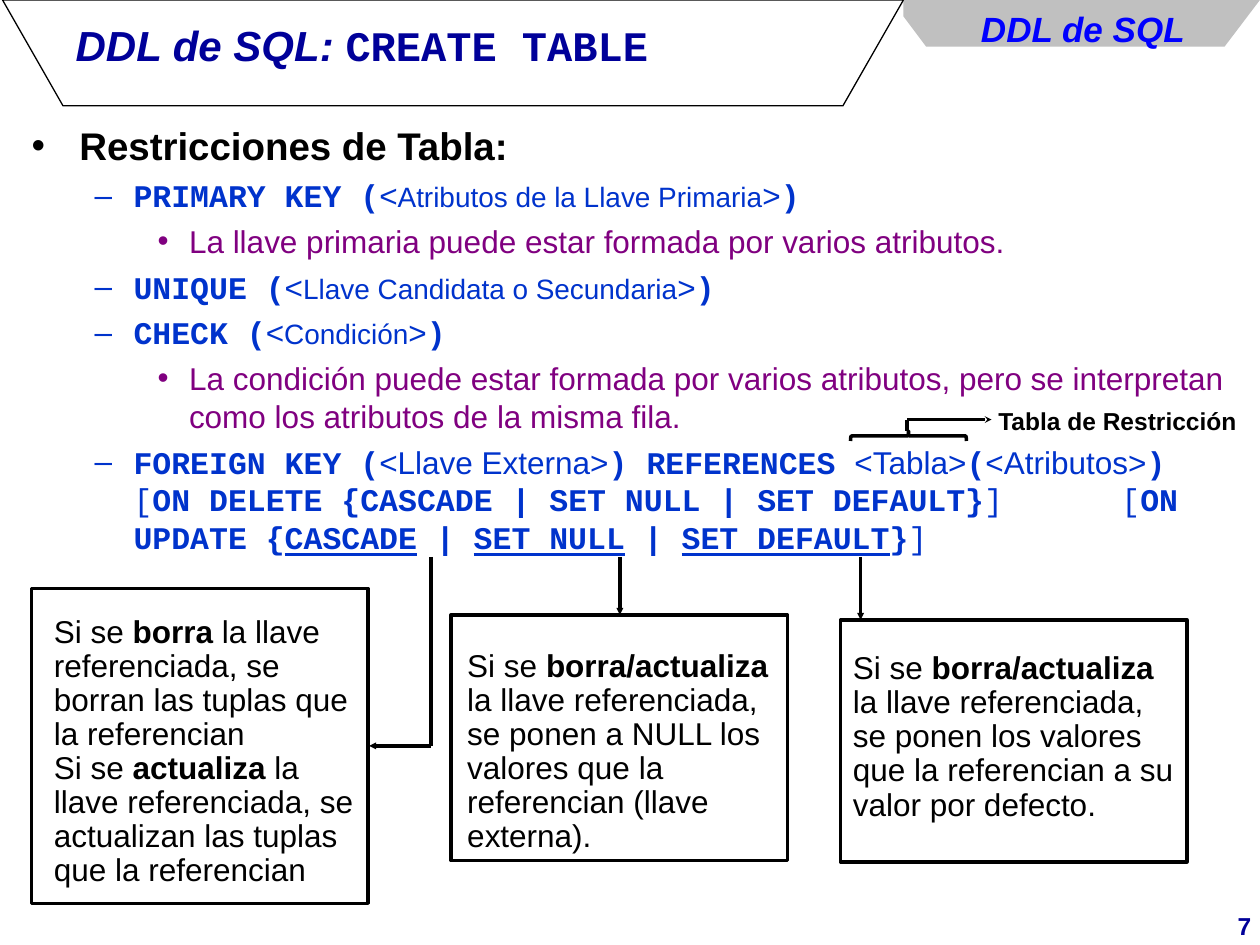
from lxml import etree
from pptx import Presentation
from pptx import util as u
from pptx.dml.color import RGBColor
from pptx.enum import shapes, text
from pptx.oxml.ns import qn

BLACK, WHITE, GRAY = "000000", "FFFFFF", "C0C0C0"
NAVY, BLUE, CODE_BLUE, PURPLE = "000099", "0000FF", "0033CC", "800080"
ARIAL, COURIER = "Arial", "Courier New"
ALIGN, ANCHOR = text.PP_ALIGN, text.MSO_ANCHOR

# Run styles
BOLD = {"bold": True}
CODE = {"name": COURIER, "bold": True}
CODE_PLAIN = {"name": COURIER}
CODE_LINK = {"name": COURIER, "bold": True, "underline": True}
SMALL = {"size": u.Pt(16)}

# Margin and hanging indent of each body level, in inches
INDENTS = [(0.38, -0.38), (0.81, -0.31), (1.25, -0.25)]


def color(value):
    return RGBColor.from_string(value)


def add_child(parent, tag, **attributes):
    return etree.SubElement(parent, qn(tag), attributes)


def format_font(font, size=None, hex_color=None, **style):
    if size:
        font.size = size
    if hex_color:
        font.color.rgb = color(hex_color)
    for name, value in style.items():
        setattr(font, name, value)


class SlideBuilder:
    def __init__(self, slide):
        self.slide = slide
        self.shapes = slide.shapes

    def style(self, shape, fill, line, width):
        shape.shadow.inherit = False
        if fill:
            shape.fill.solid()
            shape.fill.fore_color.rgb = color(fill)
        else:
            shape.fill.background()
        if line:
            shape.line.color.rgb = color(line)
            shape.line.width = u.Pt(width)
        else:
            shape.line.fill.background()

    def outline(self, points, fill, line=None, width=0.75):
        (x, y), *rest = points
        builder = self.shapes.build_freeform(u.Inches(x), u.Inches(y))
        builder.add_line_segments([(u.Inches(a), u.Inches(b)) for a, b in rest])
        self.style(builder.convert_to_shape(), fill, line, width)

    def preset(self, kind, box, fill=None, rotation=0):
        shape = self.shapes.add_shape(kind, *map(u.Inches, box))
        shape.rotation = rotation
        self.style(shape, fill, BLACK, 2)

    def line(self, start, end, arrow=None):
        connector = self.shapes.add_connector(
            shapes.MSO_CONNECTOR.STRAIGHT, *map(u.Inches, start + end))
        connector.line.color.rgb = color(BLACK)
        connector.line.width = u.Pt(2)
        properties = connector.element.spPr
        if arrow:
            add_child(properties.find(qn("a:ln")), "a:tailEnd",
                      type=arrow, w="sm", len="sm")
        add_child(properties, "a:effectLst")

    def runs(self, paragraph, parts, size, hex_color, **style):
        """Write (text, style) parts over the shared paragraph font."""
        format_font(paragraph.font, u.Pt(size), hex_color,
                    **{"name": ARIAL, **style})
        for words, own_style in parts:
            run = paragraph.add_run()
            run.text = words
            format_font(run.font, **own_style)

    def text_box(self, box, paragraphs, size, hex_color, align=ALIGN.LEFT,
                 anchor=ANCHOR.MIDDLE, level=0, spacing=1.0, wrap=True, **style):
        frame = self.shapes.add_textbox(*map(u.Inches, box)).text_frame
        frame.word_wrap = wrap
        frame.vertical_anchor = anchor
        for index, parts in enumerate(paragraphs):
            paragraph = frame.add_paragraph() if index else frame.paragraphs[0]
            paragraph.alignment = align
            paragraph.level = level
            paragraph.line_spacing = spacing
            self.runs(paragraph, parts, size, hex_color, **style)

    def place(self, placeholder, box, anchor):
        """Move a placeholder, bring it to the front and return its text frame."""
        (placeholder.left, placeholder.top,
         placeholder.width, placeholder.height) = map(u.Inches, box)
        placeholder.element.getparent().append(placeholder.element)
        frame = placeholder.text_frame
        frame.auto_size = text.MSO_AUTO_SIZE.NONE
        frame.word_wrap = True
        frame.vertical_anchor = anchor
        return frame

    def title(self, box, parts):
        paragraph = self.place(self.shapes.title, box, ANCHOR.MIDDLE).paragraphs[0]
        paragraph.alignment = ALIGN.LEFT
        self.runs(paragraph, parts, 24, NAVY, bold=True)

    def body(self, box, items):
        frame = self.place(self.slide.placeholders[1], box, ANCHOR.TOP)
        level_fonts = [(22, BLACK), (18, CODE_BLUE), (18, PURPLE)]
        for index, (level, parts) in enumerate(items):
            paragraph = frame.add_paragraph() if index else frame.paragraphs[0]
            paragraph.level = level
            paragraph.space_before = u.Pt(4.5 if index else 0)
            size, hex_color = level_fonts[level]
            properties = paragraph._p.get_or_add_pPr()
            margin, indent = INDENTS[level]
            properties.set("marL", str(u.Inches(margin)))
            properties.set("indent", str(u.Inches(indent)))
            add_child(add_child(properties, "a:buClr"), "a:srgbClr", val=hex_color)
            add_child(properties, "a:buFont", typeface=ARIAL)
            add_child(properties, "a:buChar", char="•–•"[level])
            tabs = add_child(properties, "a:tabLst")
            for stop in range(1, 9):
                add_child(tabs, "a:tab", pos=str(u.Inches(stop)), algn="l")
            self.runs(paragraph, parts, size, hex_color)


def constraint(keyword, argument):
    return 1, [(f"{keyword} (", CODE), ("<", {}), (argument, SMALL),
               (">", {}), (")", CODE)]


FOREIGN_KEY = [
    ("FOREIGN KEY (", CODE), ("<Llave Externa>", {}), (") REFERENCES ", CODE),
    ("<Tabla>", {}), ("(", CODE), ("<Atributos>", {}), (")", CODE),
    (" [", CODE_PLAIN), ("ON DELETE {CASCADE | SET NULL | SET DEFAULT}", CODE),
    ("]\t\t [", CODE_PLAIN), ("ON UPDATE {", CODE), ("CASCADE", CODE_LINK),
    (" | ", CODE), ("SET NULL", CODE_LINK), (" | ", CODE),
    ("SET DEFAULT", CODE_LINK), ("}", CODE), ("]", CODE_PLAIN),
]

BODY = [
    (0, [("Restricciones de Tabla:", BOLD)]),
    constraint("PRIMARY KEY", "Atributos de la Llave Primaria"),
    (2, [("La llave primaria puede estar formada por varios atributos.", {})]),
    constraint("UNIQUE", "Llave Candidata o Secundaria"),
    constraint("CHECK", "Condición"),
    (2, [("La condición puede estar formada por varios atributos, pero se "
          "interpretan como los atributos de la misma fila.", {})]),
    (1, FOREIGN_KEY),
]

# Frame, text box and (action, effect) paragraphs of each explanation
EXPLANATIONS = [
    ((6.67, 4.92, 2.75, 1.92), (6.17, 5.13, 3.25, 1.45),
     [("borra/actualiza", " la llave referenciada, se ponen los valores que la "
       "referencian a su valor por defecto.")]),
    ((3.58, 4.88, 2.67, 1.95), (3.11, 5.11, 3.25, 1.72),
     [("borra/actualiza", " la llave referenciada, se ponen a NULL los valores "
       "que la referencian (llave externa).")]),
    ((0.25, 4.67, 2.67, 2.5), (-0.17, 4.84, 3.17, 2.26),
     [("borra", " la llave referenciada, se borran las tuplas que la referencian"),
      ("actualiza", " la llave referenciada, se actualizan las tuplas que la "
       "referencian")]),
]


def main():
    presentation = Presentation()
    presentation.slide_width, presentation.slide_height = u.Inches(10), u.Inches(7.5)
    builder = SlideBuilder(
        presentation.slides.add_slide(presentation.slide_layouts[1]))

    builder.outline([(7.17, 0), (7.17, 0.13), (7.35, 0.37), (9.72, 0.37),
                     (10, 0), (7.17, 0)], GRAY)
    builder.outline([(0.02, 0), (0.5, 0.84), (6.69, 0.84), (7.17, 0), (0.02, 0)],
                    WHITE, BLACK)
    builder.text_box((9.2, 7.21, 0.83, 0.3), [[("7", {})]], 14, NAVY,
                     ALIGN.RIGHT, ANCHOR.BOTTOM, bold=True)

    for frame, _, _ in EXPLANATIONS:
        builder.preset(shapes.MSO_SHAPE.RECTANGLE, frame, WHITE)
    builder.body((0.15, 0.92, 9.68, 6), BODY)
    for _, box, effects in EXPLANATIONS:
        builder.text_box(box, [[("Si se ", {}), (action, BOLD), (effect, {})]
                               for action, effect in effects],
                         18, BLACK, level=1, spacing=0.9)

    builder.line((3.42, 4.42), (3.42, 5.92))
    builder.line((3.42, 5.92), (2.93, 5.92), "triangle")
    builder.line((4.92, 4.42), (4.92, 4.88), "triangle")
    builder.line((6.83, 4.42), (6.83, 4.92), "triangle")

    builder.title((0.5, -0.02, 6.75, 0.75),
                  [("DDL de SQL: ", {"italic": True}),
                   ("CREATE TABLE", {"name": COURIER})])
    builder.text_box((7.61, 0.06, 1.97, 0.33), [[("DDL de SQL", {})]], 20, BLUE,
                     ALIGN.CENTER, bold=True, italic=True)

    builder.preset(shapes.MSO_SHAPE.LEFT_BRACE, (7.17, 3, 0.08, 0.92), rotation=90)
    builder.text_box((7.82, 3.17, 2.1, 0.34), [[("Tabla de Restricción", {})]],
                     14, BLACK, ALIGN.CENTER, wrap=False, bold=True)
    builder.line((7.2, 3.33), (7.87, 3.33), "stealth")
    builder.line((7.2, 3.33), (7.2, 3.42))
    presentation.save("out.pptx")


if __name__ == "__main__":
    main()
